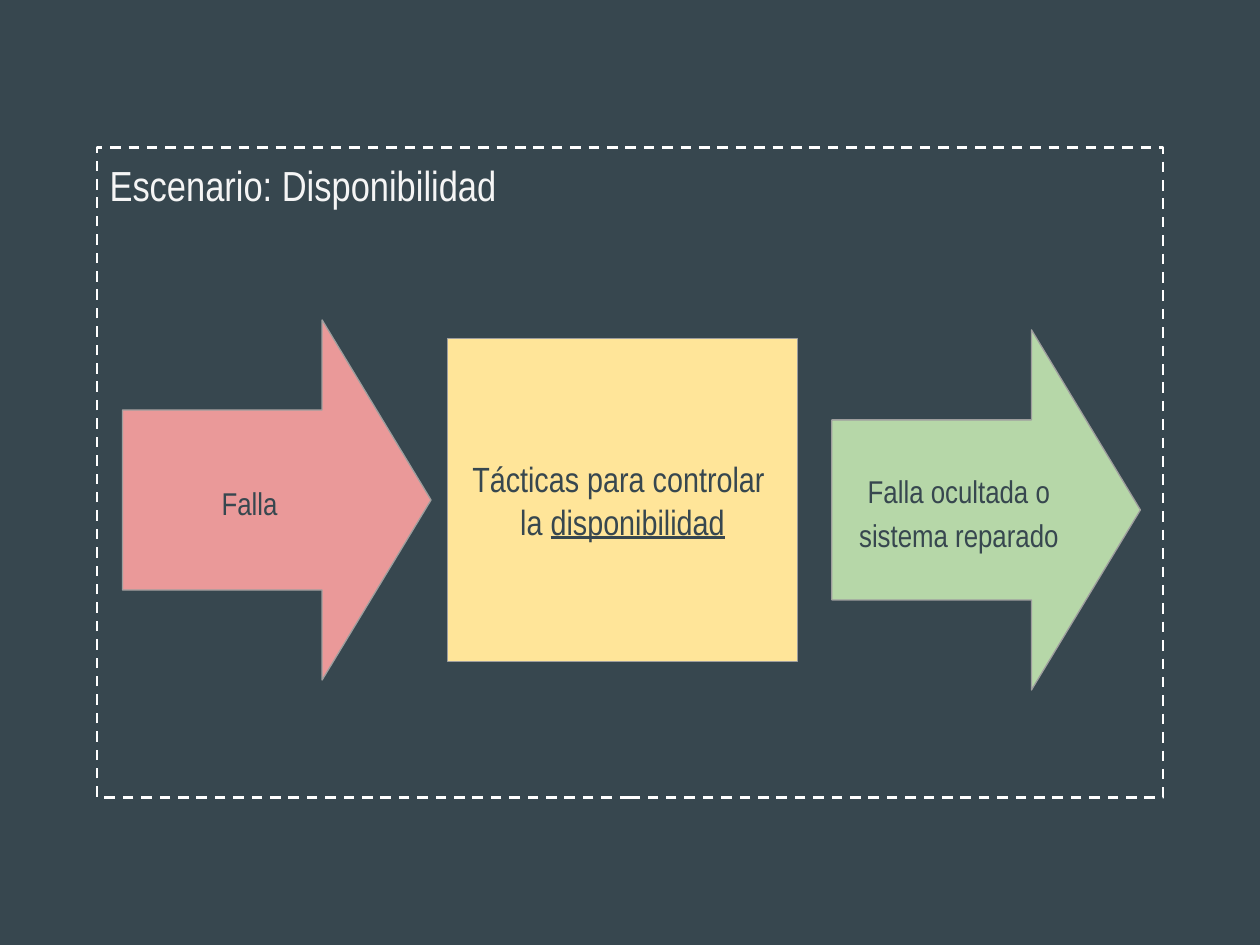
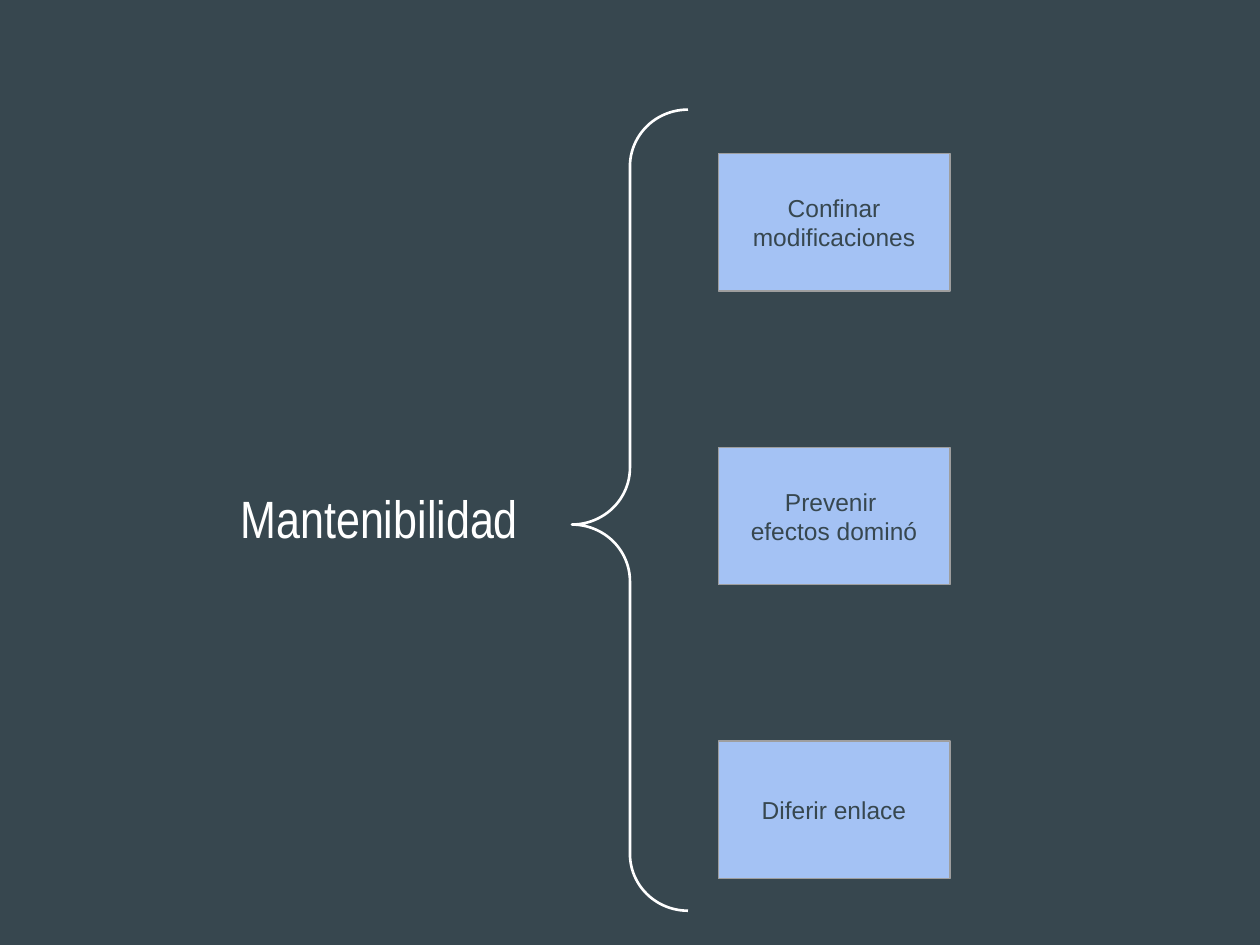
from pptx import Presentation
from pptx.dml.color import RGBColor
from pptx.enum.dml import MSO_LINE
from pptx.enum.shapes import MSO_SHAPE as SHAPE
from pptx.enum.text import MSO_ANCHOR as ANCHOR, PP_ALIGN as ALIGN
from pptx.util import Cm, Pt

SLATE, WHITE, OFF_WHITE, GRAY = "37474F", "FFFFFF", "F5F5F5", "9E9E9E"
RED, YELLOW, GREEN, BLUE = "EA9999", "FFE599", "B6D7A8", "A4C2F4"
NARROW = "Arial Narrow"
INSET = Cm(0.25)


def rgb(value):
    """Turn a hex string into a colour."""
    return RGBColor.from_string(value)


def new_slide(prs):
    """Add a blank slide with the slate background."""
    s = prs.slides.add_slide(prs.slide_layouts[6])
    s.background.fill.solid()
    s.background.fill.fore_color.rgb = rgb(SLATE)
    return s


def write(sp, lines, size, font=NARROW, color=SLATE, align=ALIGN.CENTER,
          anchor=ANCHOR.MIDDLE, spacing=1.0):
    """Fill a shape with lines, each a list of runs; a leading _ underlines a run."""
    tf = sp.text_frame
    tf.word_wrap = True
    tf.vertical_anchor = anchor
    tf.margin_left = tf.margin_right = tf.margin_top = tf.margin_bottom = INSET
    for i, runs in enumerate(lines):
        p = tf.add_paragraph() if i else tf.paragraphs[0]
        p.alignment, p.line_spacing = align, spacing
        p.font.name, p.font.size = font, Pt(size)
        p.font.color.rgb = rgb(color)
        for text in runs:
            r = p.add_run()
            r.text = text.removeprefix("_")
            if text.startswith("_"):
                r.font.underline = True


def add_figure(s, kind, x, y, w, h, fill=None, line=GRAY, width=0.75, adj=()):
    """Add a flat preset shape, measured in centimetres."""
    sp = s.shapes.add_shape(kind, Cm(x), Cm(y), Cm(w), Cm(h))
    sp.shadow.inherit = False
    if fill:
        sp.fill.solid()
        sp.fill.fore_color.rgb = rgb(fill)
    else:
        sp.fill.background()
    sp.line.color.rgb = rgb(line)
    sp.line.width = Pt(width)
    for i, value in enumerate(adj):
        sp.adjustments[i] = value
    return sp


def add_arrow(s, x, y, fill, text):
    """Add a labelled block arrow."""
    sp = add_figure(s, SHAPE.RIGHT_ARROW, x, y, 6.22, 7.26, fill, adj=(0.5, 0.353))
    write(sp, [[text]], 18, spacing=1.15)


def scenario(s, x, y, w, h):
    """Draw the dashed scenario frame with stimulus, tactics and response."""
    frame = add_figure(s, SHAPE.RECTANGLE, x, y, w, h, line=WHITE, width=1.5)
    frame.line.dash_style = MSO_LINE.DASH
    write(frame, [["Escenario: Disponibilidad"]], 24, color=OFF_WHITE,
          align=ALIGN.LEFT, anchor=ANCHOR.TOP)
    add_arrow(s, x + 0.51, y + 3.48, RED, "Falla")
    tactics = add_figure(s, SHAPE.RECTANGLE, x + 7.06, y + 3.86, 7.06, 6.5, YELLOW)
    write(tactics, [["Tácticas para controlar "], ["la ", "_disponibilidad"]], 20)
    add_arrow(s, x + 14.81, y + 3.68, GREEN, "Falla ocultada o sistema reparado")


def brace_tree(s, x, y, h, title, branches):
    """Draw a title, a brace and a column of evenly spaced branches."""
    box = s.shapes.add_textbox(Cm(x), Cm(y + 7.34), Cm(6.5), Cm(1.7))
    write(box, [[title]], 30, color=WHITE, align=ALIGN.LEFT, anchor=ANCHOR.TOP)
    add_figure(s, SHAPE.LEFT_BRACE, x + 6.93, y, 2.34, h, line=WHITE, width=1.5,
               adj=(0.489, 0.518))
    for i, lines in enumerate(branches):
        sp = add_figure(s, SHAPE.RECTANGLE, x + 9.88, y + 0.89 + 5.92 * i,
                        4.67, 2.77, BLUE)
        write(sp, lines, 14, font="Arial")


def main():
    """Build and save the presentation."""
    prs = Presentation()
    prs.slide_width, prs.slide_height = Cm(25.4), Cm(19.05)
    scenario(new_slide(prs), 1.96, 2.97, 21.49, 13.11)
    brace_tree(new_slide(prs), 4.6, 2.21, 16.15, "Mantenibilidad", [
        [["Confinar modificaciones"]],
        [["Prevenir "], ["efectos dominó"]],
        [["Diferir enlace"]],
    ])
    prs.save("out.pptx")


if __name__ == "__main__":
    main()
